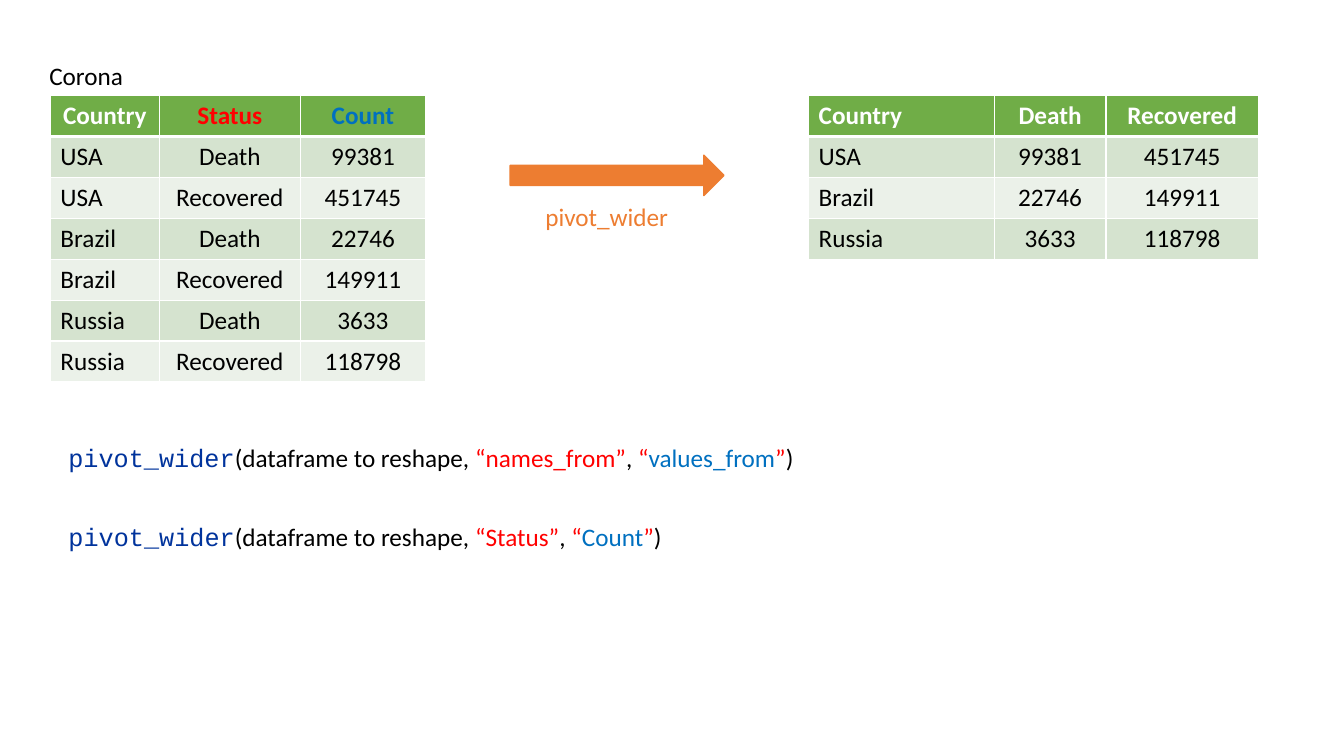
from lxml.etree import SubElement as Sub
from pptx import Presentation
from pptx.dml.color import RGBColor as RGB
from pptx.enum.shapes import MSO_SHAPE as SHAPE
from pptx.enum.text import MSO_AUTO_SIZE as FIT, PP_ALIGN as ALIGN
from pptx.oxml.ns import qn
from pptx.util import Pt

PX = 9144  # 100 px to the inch
SANS, MONO = "Calibri", "Courier New"
WHITE = RGB(0xFF, 0xFF, 0xFF)
BLACK = RGB(0x00, 0x00, 0x00)
RED = RGB(0xFF, 0x00, 0x00)
BLUE = RGB(0x00, 0x70, 0xC0)
NAVY = RGB(0x00, 0x33, 0x9C)
ORANGE = RGB(0xED, 0x7D, 0x31)
GREEN = RGB(0x70, 0xAD, 0x47)
BANDS = [RGB(0xEB, 0xF1, 0xE9), RGB(0xD5, 0xE3, 0xCF)]

NATIONS = ["USA", "Brazil", "Russia"]
DEATHS = ["99381", "22746", "3633"]
CURED = ["451745", "149911", "118798"]


def emu(*sizes):
    return [size * PX for size in sizes]


def style(run, color, font=SANS, bold=False):
    run.font.name = font
    run.font.size = Pt(18)
    run.font.bold = bold
    run.font.color.rgb = color


def add_text(slide, box, parts, wrap=True):
    """Write one line of (text, color, font) parts."""
    frame = slide.shapes.add_textbox(*emu(*box)).text_frame
    frame.word_wrap = wrap
    frame.auto_size = FIT.SHAPE_TO_FIT_TEXT
    for text, color, font in parts:
        run = frame.paragraphs[0].add_run()
        run.text = text
        style(run, color, font)


def add_edges(cell, row):
    """Rule a cell in white, thicker below the header."""
    props = cell._tc.get_or_add_tcPr()
    for side in "LRTB":
        thick = (row, side) in [(0, "B"), (1, "T")]
        line = Sub(props, qn(f"a:ln{side}"), w=str(Pt(3 if thick else 1)))
        fill = Sub(line, qn("a:solidFill"))
        Sub(fill, qn("a:srgbClr"), val=str(WHITE))


def add_grid(slide, left, top, widths, rows, inks, first):
    """Place a banded table; first is the alignment of its first heading."""
    high = 40
    box = emu(left, top, sum(widths), high * len(rows))
    table = slide.shapes.add_table(len(rows), len(widths), *box).table
    for column, width in zip(table.columns, widths):
        column.width = width * PX
    for r, row in enumerate(rows):
        for c, text in enumerate(row):
            cell = table.cell(r, c)
            cell.text = text
            para = cell.text_frame.paragraphs[0]
            head = r == 0
            para.alignment = ALIGN.CENTER if c else first if head else ALIGN.LEFT
            style(para.runs[0], inks[c] if head else BLACK, bold=head)
            add_edges(cell, r)
            cell.fill.solid()
            cell.fill.fore_color.rgb = GREEN if head else BANDS[r % 2]


def add_long(slide, left, top):
    """The long table with its name above."""
    rows = [["Country", "Status", "Count"]]
    for nation, dead, cured in zip(NATIONS, DEATHS, CURED):
        rows += [[nation, "Death", dead], [nation, "Recovered", cured]]
    add_grid(slide, left, top, [108, 140, 124], rows,
             [WHITE, RED, BLUE], ALIGN.CENTER)
    add_text(slide, (left - 11, top - 40, 132, 40), [("Corona", BLACK, SANS)])


def add_wide(slide, left, top):
    """The reshaped table."""
    rows = [["Country", "Death", "Recovered"], *zip(NATIONS, DEATHS, CURED)]
    add_grid(slide, left, top, [184, 111, 151], rows, [WHITE] * 3, ALIGN.LEFT)


def add_step(slide, left, top):
    """The arrow between the tables and its label."""
    arrow = slide.shapes.add_shape(SHAPE.RIGHT_ARROW, *emu(left, top, 212, 40))
    arrow.shadow.inherit = False
    arrow.fill.solid()
    arrow.fill.fore_color.rgb = ORANGE
    arrow.line.color.rgb = ORANGE
    arrow.line.width = Pt(1)
    add_text(slide, (left + 25, top + 41, 161, 40),
             [("pivot_wider", ORANGE, SANS)])


def add_call(slide, box, names, values, wrap):
    """One line of code."""
    add_text(slide, box, [
        ("pivot_wider", NAVY, MONO),
        ("(dataframe to reshape, ", BLACK, SANS),
        (f"“{names}”", RED, SANS),
        (", ", BLACK, SANS),
        ("“", RED, SANS),
        (values, BLUE, SANS),
        ("”", RED, SANS),
        (")", BLACK, SANS),
    ], wrap)


def main():
    deck = Presentation()
    deck.slide_width, deck.slide_height = emu(1333, 750)
    slide = deck.slides.add_slide(deck.slide_layouts[6])
    add_wide(slide, 802, 95)
    add_long(slide, 50, 95)
    add_step(slide, 506, 154)
    add_call(slide, (58, 434, 744, 40), "names_from", "values_from", False)
    add_call(slide, (58, 512, 1275, 40), "Status", "Count", True)
    deck.save("out.pptx")


if __name__ == "__main__":
    main()
